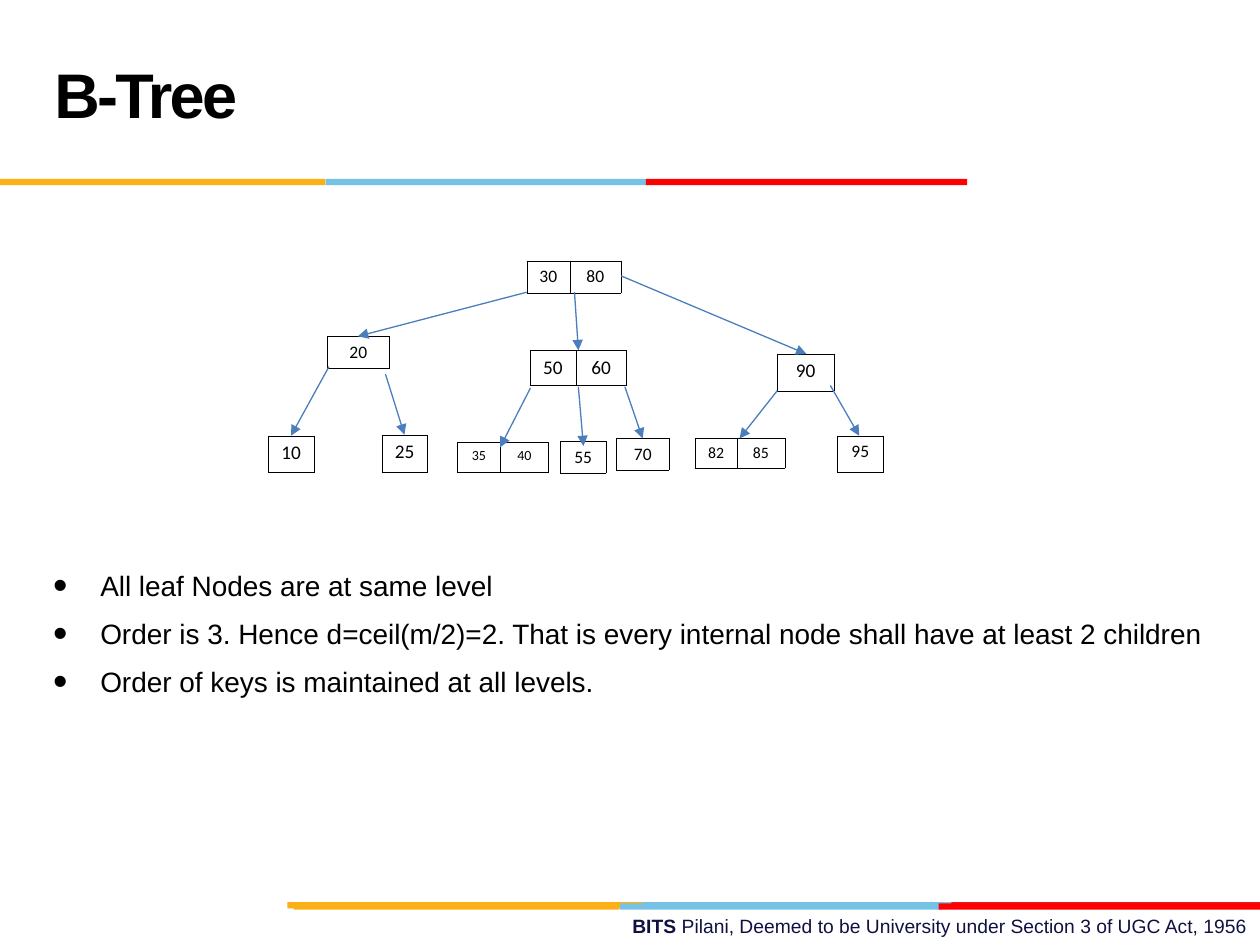
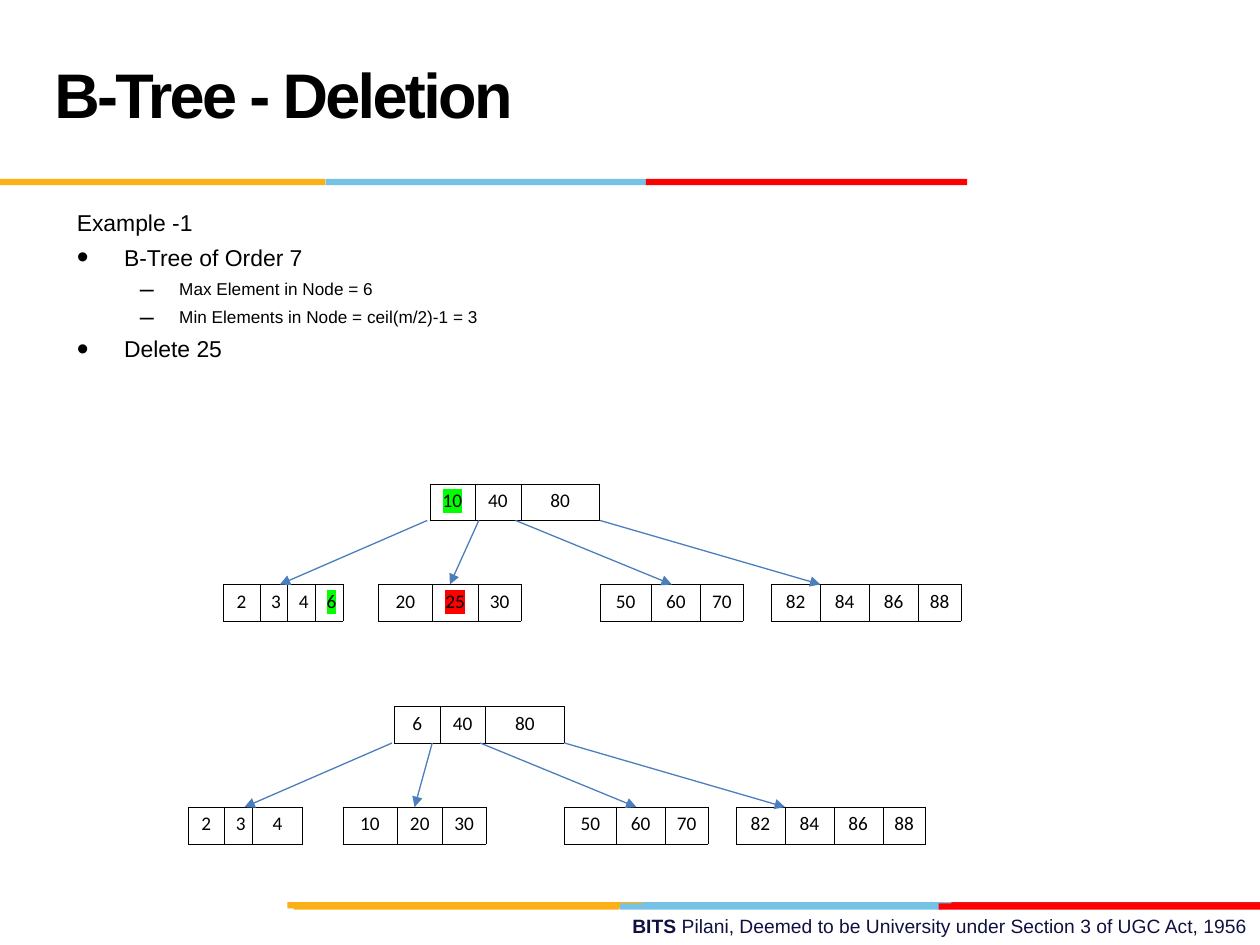
import pptx
import pptx.dml.color
import pptx.enum.shapes
import pptx.enum.text
import pptx.oxml.ns
import pptx.util
from lxml import etree

Pt = pptx.util.Pt
ALIGN = pptx.enum.text.PP_ALIGN
ANCHOR = pptx.enum.text.MSO_ANCHOR
qn = pptx.oxml.ns.qn

ORANGE, BLUE, RED, CRIMSON = "FCB017", "76C2E5", "FF0000", "E31C24"
BLACK, WHITE, NAVY = "000000", "FFFFFF", "101141"
ARROW_BLUE, GREEN = "4B7EBC", "00FF00"
BAND_HEIGHT = 3.6
TITLE_BAND = [(186, 183.6, BLUE), (0, 186, ORANGE), (369, 183.6, RED)]
FOOTER_BACK = [(364.3, 183.6, BLUE), (543.6, 176.4, CRIMSON), (164.2, 203, ORANGE)]
FOOTER_FRONT = [(354.2, 183.6, BLUE), (167.8, 186, ORANGE), (536.4, 183.6, RED)]


def color(hex_code):
    return pptx.dml.color.RGBColor.from_string(hex_code)


def add_solid(parent, hex_code):
    fill = etree.SubElement(parent, qn("a:solidFill"))
    etree.SubElement(fill, qn("a:srgbClr"), val=hex_code)


def write(para, text, size=11, font="Arial", ink=BLACK, bold=False, highlight=None, spacing=None):
    span = para.add_run()
    span.text = text
    span.font.size = Pt(size)
    span.font.bold = bold
    span.font.color.rgb = color(ink)
    properties = span.font._element
    if highlight:
        mark = etree.SubElement(properties, qn("a:highlight"))
        etree.SubElement(mark, qn("a:srgbClr"), val=highlight)
    if spacing is not None:
        properties.set("spc", str(round(spacing * 100)))
    span.font.name = font


def set_indent(para, left, first, bullet=None):
    """Set the paragraph's hanging indent and its bullet; no bullet when None."""
    properties = para._p.get_or_add_pPr()
    properties.set("marL", str(Pt(left)))
    properties.set("indent", str(Pt(first)))
    if bullet:
        etree.SubElement(properties, qn("a:buSzPct"), val="147000")
        etree.SubElement(properties, qn("a:buFont"), typeface="Arial")
        etree.SubElement(properties, qn("a:buChar"), char=bullet)
    else:
        etree.SubElement(properties, qn("a:buNone"))


def move(shape, left, top, width, height):
    shape.left, shape.top = Pt(left), Pt(top)
    shape.width, shape.height = Pt(width), Pt(height)


class TreeDeck:
    def __init__(self):
        self.deck = pptx.Presentation()
        self.deck.slide_width, self.deck.slide_height = Pt(720), Pt(540)
        self.page = None

    def new_page(self, title):
        self.page = self.deck.slides.add_slide(self.deck.slide_layouts[1])
        self.title(title)
        self.band(515.5, FOOTER_BACK)
        self.band(516.2, FOOTER_FRONT)
        self.band(102.2, TITLE_BAND)
        self.footer()

    def title(self, text):
        box = self.page.shapes.title
        move(box, 23.8, 12.2, 498.2, 90)
        frame = box.text_frame
        frame.auto_size = pptx.enum.text.MSO_AUTO_SIZE.NONE
        frame.vertical_anchor = ANCHOR.MIDDLE
        para = frame.paragraphs[0]
        para.alignment = ALIGN.LEFT
        para.line_spacing = Pt(36)
        write(para, text, size=36, bold=True, spacing=-1.5)

    def band(self, top, stripes):
        for left, width, hex_code in stripes:
            stripe = self.page.shapes.add_shape(
                pptx.enum.shapes.MSO_SHAPE.RECTANGLE, Pt(left), Pt(top), Pt(width), Pt(BAND_HEIGHT))
            stripe.shadow.inherit = False
            stripe.fill.solid()
            stripe.fill.fore_color.rgb = color(hex_code)
            stripe.line.fill.background()

    def footer(self):
        box = self.page.shapes.add_textbox(Pt(257.8), Pt(519.1), Pt(462.2), Pt(20.9))
        box.text_frame.word_wrap = True
        para = box.text_frame.paragraphs[0]
        para.alignment = ALIGN.RIGHT
        write(para, "BITS ", ink=NAVY, bold=True)
        write(para, "Pilani, Deemed to be University under Section 3 of UGC Act, 1956", ink=NAVY)

    def body(self, place, lines, sizes, line_spacing=1.0):
        """Fill the body placeholder with (level, text) lines; level None has no bullet."""
        box = self.page.placeholders[1]
        move(box, *place)
        frame = box.text_frame
        frame.auto_size = pptx.enum.text.MSO_AUTO_SIZE.NONE
        frame.margin_left = frame.margin_right = Pt(6.5)
        frame.margin_top = frame.margin_bottom = Pt(3)
        indents = {None: (0, 0, None), 0: (27, -27, "•"), 1: (58.5, -22.5, "–")}
        for index, (level, text) in enumerate(lines):
            para = frame.add_paragraph() if index else frame.paragraphs[0]
            para.level = level or 0
            set_indent(para, *indents[level])
            para.line_spacing = line_spacing
            para.space_before = Pt(4.4 if index else 0)
            write(para, text, size=sizes[level or 0])

    def node(self, left, top, keys, widths, height=21, size=11, marks=None):
        """Draw a tree node as a one-row table; marks maps keys to highlight colours."""
        table = self.page.shapes.add_table(
            1, len(keys), Pt(left), Pt(top), Pt(sum(widths)), Pt(height)).table
        table.first_row = table.horz_banding = False
        table.rows[0].height = Pt(height)
        for index, (key, width) in enumerate(zip(keys, widths)):
            table.columns[index].width = Pt(width)
            self.key_cell(table.cell(0, index), key, size, (marks or {}).get(key))

    def key_cell(self, cell, key, size, highlight):
        cell.margin_left = cell.margin_right = Pt(6.5)
        cell.margin_top = cell.margin_bottom = Pt(3)
        properties = cell._tc.get_or_add_tcPr()
        for side in ("lnL", "lnR", "lnT", "lnB"):
            add_solid(etree.SubElement(properties, qn("a:" + side), w=str(Pt(0.25))), BLACK)
        cell.fill.solid()
        cell.fill.fore_color.rgb = color(WHITE)
        para = cell.text_frame.paragraphs[0]
        para.alignment = ALIGN.CENTER
        write(para, str(key), size=size, font="Calibri", highlight=highlight)

    def arrow(self, x1, y1, x2, y2):
        line = self.page.shapes.add_connector(
            pptx.enum.shapes.MSO_CONNECTOR.STRAIGHT, Pt(x1), Pt(y1), Pt(x2), Pt(y2))
        line.line.color.rgb = color(ARROW_BLUE)
        line.line.width = Pt(0.75)
        etree.SubElement(line.line._get_or_add_ln(), qn("a:tailEnd"), type="triangle")
        etree.SubElement(line._element.spPr, qn("a:effectLst"))

    def two_level_tree(self, left, top, root, leaves, second_start, marks=None):
        """Draw a root with four leaves, all placed relative to the root's corner."""
        drop = 57.6
        self.node(left, top, root, [26, 26, 45], marks=marks)
        for offset, (keys, widths) in zip((-118, -29.5, 97.2, 195.1), leaves):
            self.node(left + offset, top + drop, keys, widths, marks=marks)
        starts = (-1.4, second_start, 49, 97.2)
        for start, end in zip(starts, (-85.7, 11.5, 138.3, 223.2)):
            self.arrow(left + start, top + 21, left + end, top + drop)


def build_order_three_page(slides):
    slides.new_page("B-Tree")
    slides.body((23.8, 318.2, 678.2, 178.6), [
        (0, "All leaf Nodes are at same level"),
        (0, "Order is 3. Hence d=ceil(m/2)=2. That is every internal node shall have at least 2 children"),
        (0, "Order of keys is maintained at all levels."),
    ], sizes=[16], line_spacing=1.2)
    nodes = [
        (301, 149, [30, 80], [24.6, 29.2], 18.4, 10),
        (187, 192.2, [20], [35.5], 18.2, 10),
        (303, 200.3, [50, 60], [26, 29], 20, 11),
        (444.2, 202.3, [90], [32.4], 21, 11),
        (153.4, 249, [10], [26], 21, 11),
        (218.2, 248.6, [25], [26], 21, 11),
        (261.4, 252.7, [35, 40], [24.6, 27.4], 17, 8),
        (320.2, 252.2, [55], [26], 18.2, 10),
        (352.2, 250.5, [70], [30.2], 18.2, 10),
        (397.3, 250.5, [82, 85], [23.8, 27.4], 17, 9),
        (478.6, 249, [95], [26], 21, 10),
    ]
    for left, top, keys, widths, height, size in nodes:
        slides.node(left, top, keys, widths, height, size)
    arrows = [
        (301, 167, 204.5, 192.2), (328.3, 167, 330.5, 200.2), (355, 157.7, 460.8, 202.3),
        (188, 209.5, 166.3, 249), (220.3, 213.8, 231.1, 248.4),
        (303.1, 221.8, 285.8, 255.6), (330.5, 221, 333.4, 254.9), (357.1, 221, 367.2, 250.6),
        (444.2, 223.2, 422.6, 250.6), (474.5, 220.3, 491, 249),
    ]
    for ends in arrows:
        slides.arrow(*ends)


def build_deletion_page(slides):
    slides.new_page("B-Tree - Deletion")
    slides.body((37.4, 115.9, 408.2, 98.6), [
        (None, "Example -1"),
        (0, "B-Tree of Order 7"),
        (1, "Max Element in Node = 6"),
        (1, "Min Elements in Node = ceil(m/2)-1 = 3"),
        (0, "Delete 25"),
    ], sizes=[13.1, 9.8])
    middle_widths = [31, 26, 24.8]
    right_leaves = [
        ([50, 60, 70], [29.5, 28, 24.5]),
        ([82, 84, 86, 88], [28, 28, 28, 24.5]),
    ]
    before = [([2, 3, 4, 6], [20.9, 14.6, 14.6, 14.6]), ([20, 25, 30], middle_widths)]
    after = [([2, 3, 4], [20.9, 14.6, 28.8]), ([10, 20, 30], middle_widths)]
    slides.two_level_tree(245.6, 276.4, [10, 40, 80], before + right_leaves, 28,
                          marks={10: GREEN, 6: GREEN, 25: RED})
    slides.two_level_tree(225.4, 403.6, [6, 40, 80], after + right_leaves, 21.6)


def main():
    slides = TreeDeck()
    build_order_three_page(slides)
    build_deletion_page(slides)
    slides.deck.save("out.pptx")


if __name__ == "__main__":
    main()
